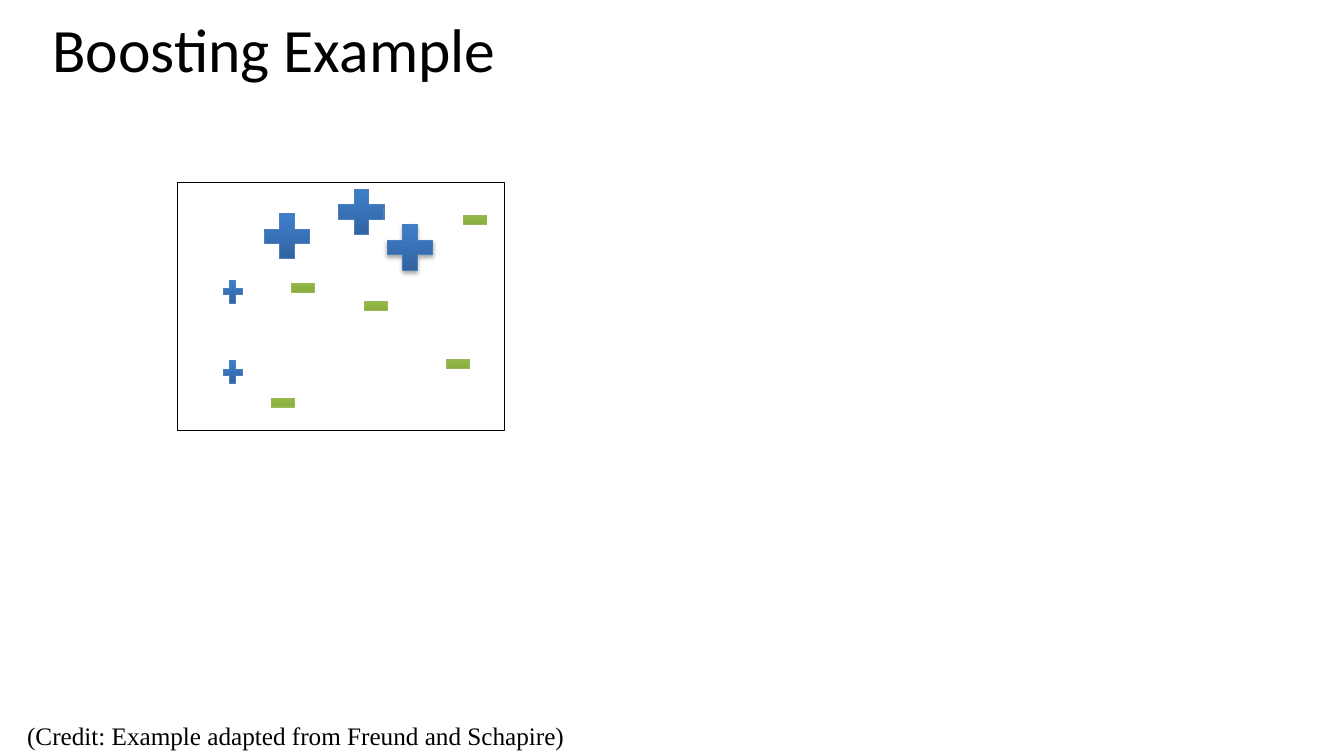
from copy import deepcopy

from lxml.etree import SubElement
from pptx import Presentation
from pptx.dml.color import RGBColor
from pptx.enum.shapes import MSO_SHAPE as SHAPE
from pptx.enum.text import MSO_ANCHOR as ANCHOR, MSO_AUTO_SIZE as AUTO, PP_ALIGN as ALIGN
from pptx.oxml.ns import qn
from pptx.util import Pt

PX = 9144
BLACK = RGBColor(0x00, 0x00, 0x00)
BLUE_LINE = RGBColor(0x4B, 0x7E, 0xBC)
BLUE_STOPS = [
    (0, RGBColor(0x2F, 0x5F, 0x99)),
    (0.8, RGBColor(0x3D, 0x7C, 0xC7)),
    (1, RGBColor(0x3A, 0x7C, 0xCB)),
]
GREEN_LINE = RGBColor(0x98, 0xB9, 0x55)
GREEN_STOPS = [
    (0, RGBColor(0x77, 0x97, 0x37)),
    (0.8, RGBColor(0x9B, 0xC3, 0x48)),
    (1, RGBColor(0x9D, 0xC7, 0x46)),
]
BIG_PLUSES = [(254, 204, False), (328, 180, False), (376, 215, True)]
SMALL_PLUSES = [(218, 274), (218, 354)]
MINUSES = [(265, 381), (439, 343), (285, 267), (357, 285), (456, 200)]


class BoostingSlide:
    """Draws the weighted training points of a boosting round."""

    def __init__(self, prs):
        self.slide = prs.slides.add_slide(prs.slide_layouts[5])

    def add_run(self, p, text, font, size):
        r = p.add_run()
        r.text = text
        r.font.name = font
        r.font.size = Pt(size)
        r.font.color.rgb = BLACK

    def title(self, text, x, y, w, h):
        sp = self.slide.shapes.title
        sp.left, sp.top, sp.width, sp.height = (v * PX for v in (x, y, w, h))
        tf = sp.text_frame
        tf.auto_size = AUTO.NONE
        tf.vertical_anchor = ANCHOR.TOP
        p = tf.paragraphs[0]
        p.alignment = ALIGN.LEFT
        p.line_spacing = 0.8
        self.add_run(p, text, "Calibri", 44)

    def text(self, text, x, y, w, h):
        sp = self.slide.shapes.add_textbox(x * PX, y * PX, w * PX, h * PX)
        tf = sp.text_frame
        tf.word_wrap = False
        tf.auto_size = AUTO.SHAPE_TO_FIT_TEXT
        self.add_run(tf.paragraphs[0], text, "Times New Roman", 18)

    def shape(self, kind, x, y, w, h, line):
        sp = self.slide.shapes.add_shape(kind, x * PX, y * PX, w * PX, h * PX)
        sp.shadow.inherit = False
        sp.line.color.rgb = line
        sp.line.width = Pt(0.75)
        return sp

    def frame(self, x, y, w, h):
        sp = self.shape(SHAPE.RECTANGLE, x, y, w, h, BLACK)
        sp.fill.background()

    def shade(self, sp, colours):
        sp.fill.gradient()
        sp.fill.gradient_angle = 90
        stops = sp._element.spPr.find(".//" + qn("a:gsLst"))
        stops.append(deepcopy(stops[0]))
        for stop, (position, colour) in zip(sp.fill.gradient_stops, colours):
            stop.position = position
            stop.color.rgb = colour

    def cast_shadow(self, sp):
        effects = sp._element.spPr.find(qn("a:effectLst"))
        shadow = SubElement(effects, qn("a:outerShdw"), blurRad="40000",
                            dist="23000", dir="5400000", rotWithShape="0")
        colour = SubElement(shadow, qn("a:srgbClr"), val="000000")
        SubElement(colour, qn("a:alpha"), val="35000")

    def plus(self, x, y, w, h, shadow=False):
        sp = self.shape(SHAPE.MATH_PLUS, x, y, w, h, BLUE_LINE)
        self.shade(sp, BLUE_STOPS)
        if shadow:
            self.cast_shadow(sp)

    def minus(self, x, y, w, h):
        sp = self.shape(SHAPE.MATH_MINUS, x, y, w, h, GREEN_LINE)
        self.shade(sp, GREEN_STOPS)


def main():
    prs = Presentation()
    prs.slide_width, prs.slide_height = 1333 * PX, 750 * PX
    s = BoostingSlide(prs)
    s.title("Boosting Example", 42, 20, 1260, 116)
    s.frame(176, 181, 324, 246)
    for x, y, shadow in BIG_PLUSES:
        s.plus(x, y, 61, 61, shadow)
    for x, y in SMALL_PLUSES:
        s.plus(x, y, 26, 31)
    for x, y in MINUSES:
        s.minus(x, y, 31, 37)
    s.text("(Credit: Example adapted from Freund and Schapire)", 17, 710, 559, 40)
    prs.save("out.pptx")


if __name__ == "__main__":
    main()
